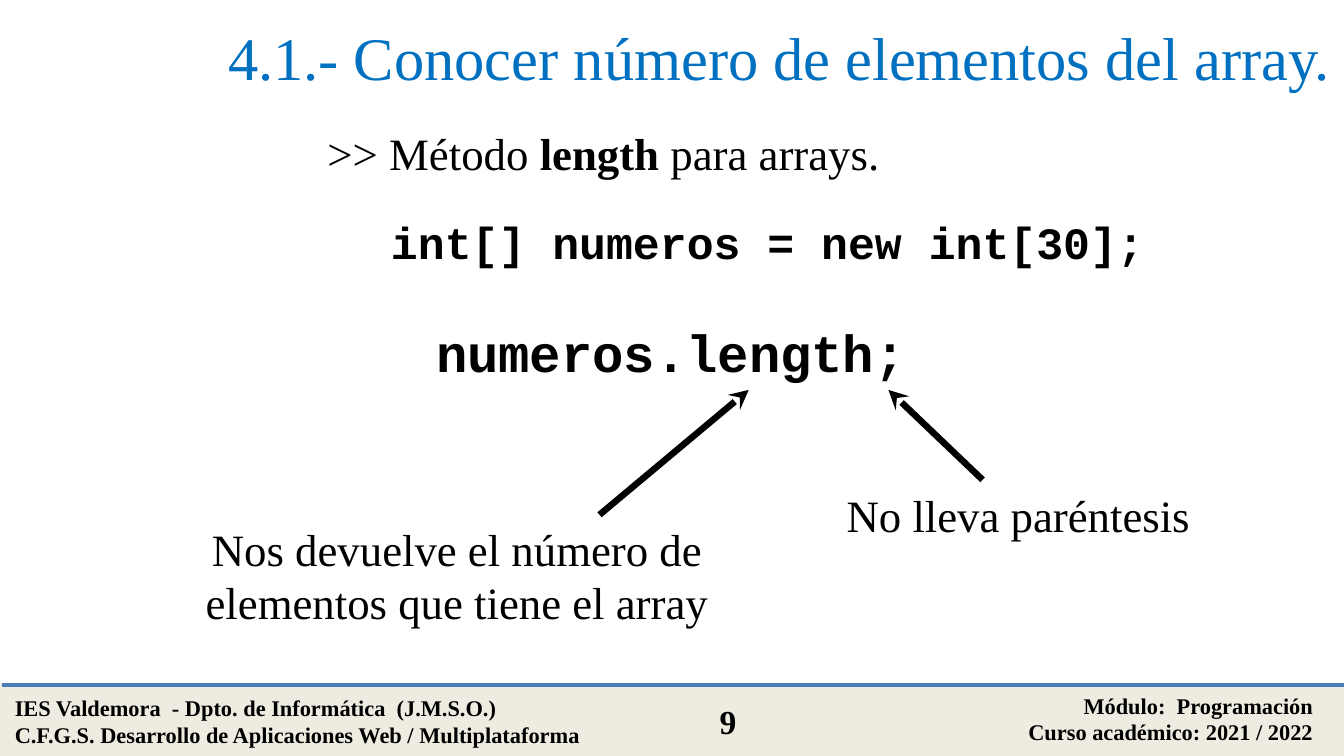
from lxml.etree import SubElement
from pptx import Presentation
from pptx.dml.color import RGBColor
from pptx.enum.shapes import MSO_CONNECTOR as Connector, MSO_SHAPE as Shape
from pptx.enum.text import MSO_ANCHOR as Anchor, PP_ALIGN as Align
from pptx.oxml.ns import qn
from pptx.util import Cm, Pt

SERIF, MONO = "Times New Roman", "Courier New"
BLACK, BLUE, RULE, BEIGE = "000000", "0070C0", "4A7DBA", "EEECE1"


def color(value):
    return RGBColor.from_string(value)


def add_text(page, box, lines, align=Align.LEFT, anchor=Anchor.TOP, ink=BLACK, **font):
    """Each line is a list of (words, bold) spans."""
    frame = page.shapes.add_textbox(*map(Cm, box)).text_frame
    frame.word_wrap = True
    frame.vertical_anchor = anchor
    for index, spans in enumerate(lines):
        para = frame.paragraphs[0] if index == 0 else frame.add_paragraph()
        para.alignment = align
        for words, bold in spans:
            span = para.add_run()
            span.text = words
            for name, value in {**font, "bold": bold}.items():
                setattr(span.font, name, value)
            span.font.color.rgb = color(ink)


def add_line(page, start, end, ink, width, arrow=False):
    line = page.shapes.add_connector(Connector.STRAIGHT, *map(Cm, start + end))
    line.line.color.rgb = color(ink)
    line.line.width = Pt(width)
    if arrow:
        SubElement(line.line._get_or_add_ln(), qn("a:tailEnd"), type="stealth")
    SubElement(line._element.spPr, qn("a:effectLst"))


def add_footer(page, box):
    left, top, width, height = box
    # Band with its upper rule
    band = page.shapes.add_shape(Shape.RECTANGLE, *map(Cm, box))
    band.shadow.inherit = False
    band.fill.solid()
    band.fill.fore_color.rgb = color(BEIGE)
    band.line.color.rgb = color(BEIGE)
    band.line.width = Pt(2)
    add_line(page, (left, top), (left + width, top), RULE, 2)

    # School, module and page number: offset, width, alignment, size, lines
    parts = [
        (0, 0.05, 11.84, Align.LEFT, 12,
         ["IES Valdemora  - Dpto. de Informática  (J.M.S.O.)",
          "C.F.G.S. Desarrollo de Aplicaciones Web / Multiplataforma"]),
        (14.88, 0, 10.16, Align.RIGHT, 12,
         ["Módulo:  Programación", "Curso académico: 2021 / 2022"]),
        (12.7, 0.18, 2.06, Align.CENTER, 18, ["9"]),
    ]
    for right, down, wide, align, size, lines in parts:
        add_text(page, (left + right, top + down, wide, height - down),
                 [[(words, True)] for words in lines], align, name=SERIF, size=Pt(size))


def add_title(page, box):
    add_text(page, box, [[("4.1.- Conocer número de elementos del array.", False)]],
             Align.RIGHT, Anchor.MIDDLE, BLUE, name=SERIF, size=Pt(32.4))


def add_example(page, box):
    left, top = box[:2]
    # Offset from the region, size, alignment, font, spans
    parts = [
        ((3.3, 0, 17.02, 1.27), Align.LEFT, SERIF, 24,
         [(">> Método ", False), ("length", True), (" para arrays.", False)]),
        ((4.5, 1.68, 15.27, 1.27), Align.LEFT, MONO, 24,
         [("int[] numeros = new int[30];", True)]),
        ((2.74, 3.66, 14.6, 1.45), Align.CENTER, MONO, 28, [("numeros.length;", True)]),
        ((0, 7.47, 11.99, 2.31), Align.CENTER, SERIF, 24,
         [("Nos devuelve el número de elementos que tiene el array", False)]),
        ((13.11, 6.83, 7.47, 1.27), Align.LEFT, SERIF, 24, [("No lleva paréntesis", False)]),
    ]
    for (right, down, wide, high), align, name, size, spans in parts:
        add_text(page, (left + right, top + down, wide, high), [spans], align,
                 name=name, size=Pt(size))

    # Arrows from the notes up to the expression
    tip = top + 5.11
    for tail_x, tail_y, tip_x in [(8.69, 7.47, 11.51), (15.93, 6.81, 13.15)]:
        # The second arrow leans back to the semicolon
        head_x = left + tip_x + (1 if tail_x > tip_x else 0)
        add_line(page, (left + tail_x, top + tail_y), (head_x, tip), BLACK, 3.5, True)


def main():
    deck = Presentation()
    deck.slide_width, deck.slide_height = Cm(25.4), Cm(14.29)
    page = deck.slides.add_slide(deck.slide_layouts[6])
    add_footer(page, (0.03, 12.95, 25.4, 1.32))
    add_title(page, (2.72, 0, 22.68, 2.13))
    add_example(page, (2.64, 2.26, 20.58, 9.78))
    deck.save("out.pptx")


if __name__ == "__main__":
    main()
